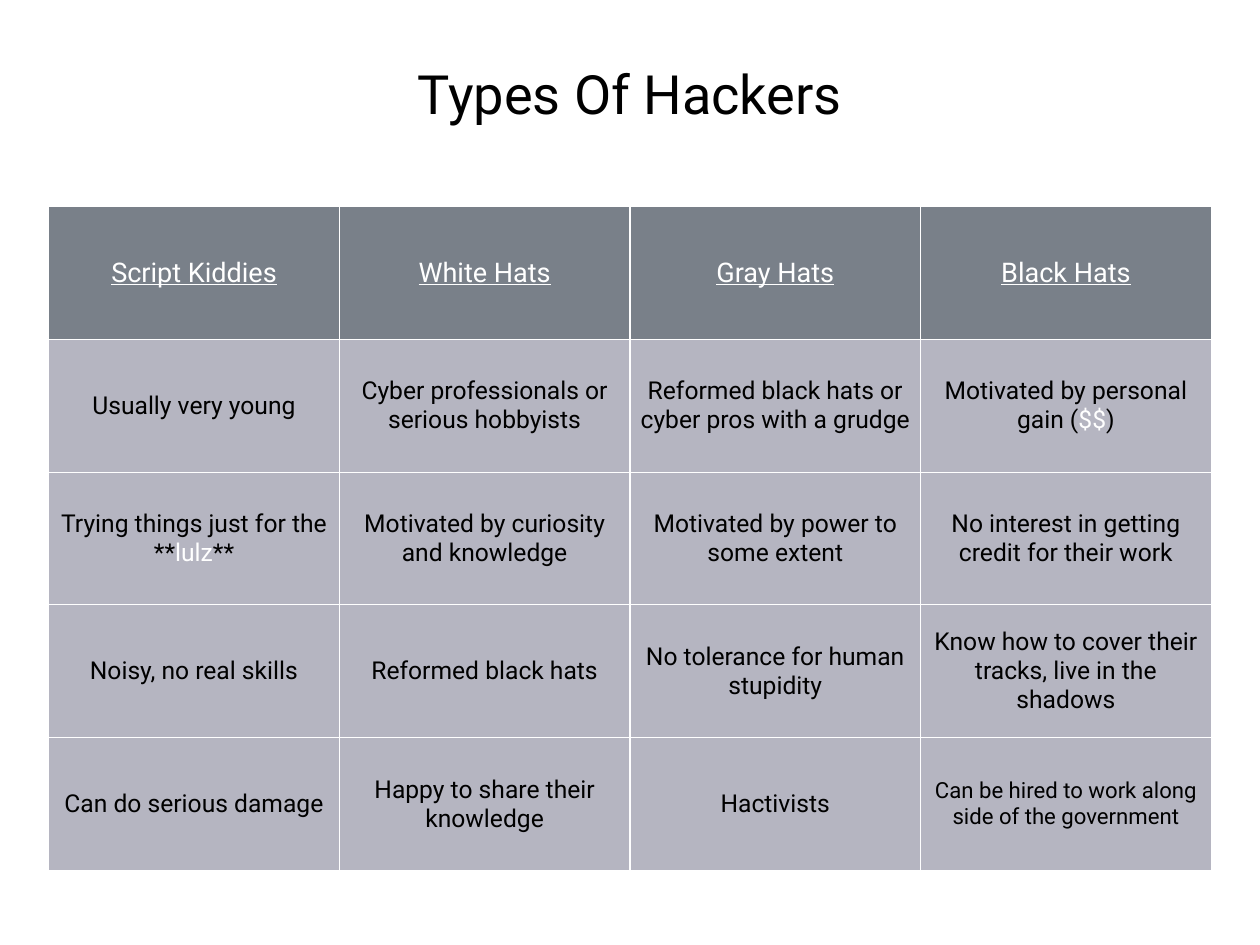
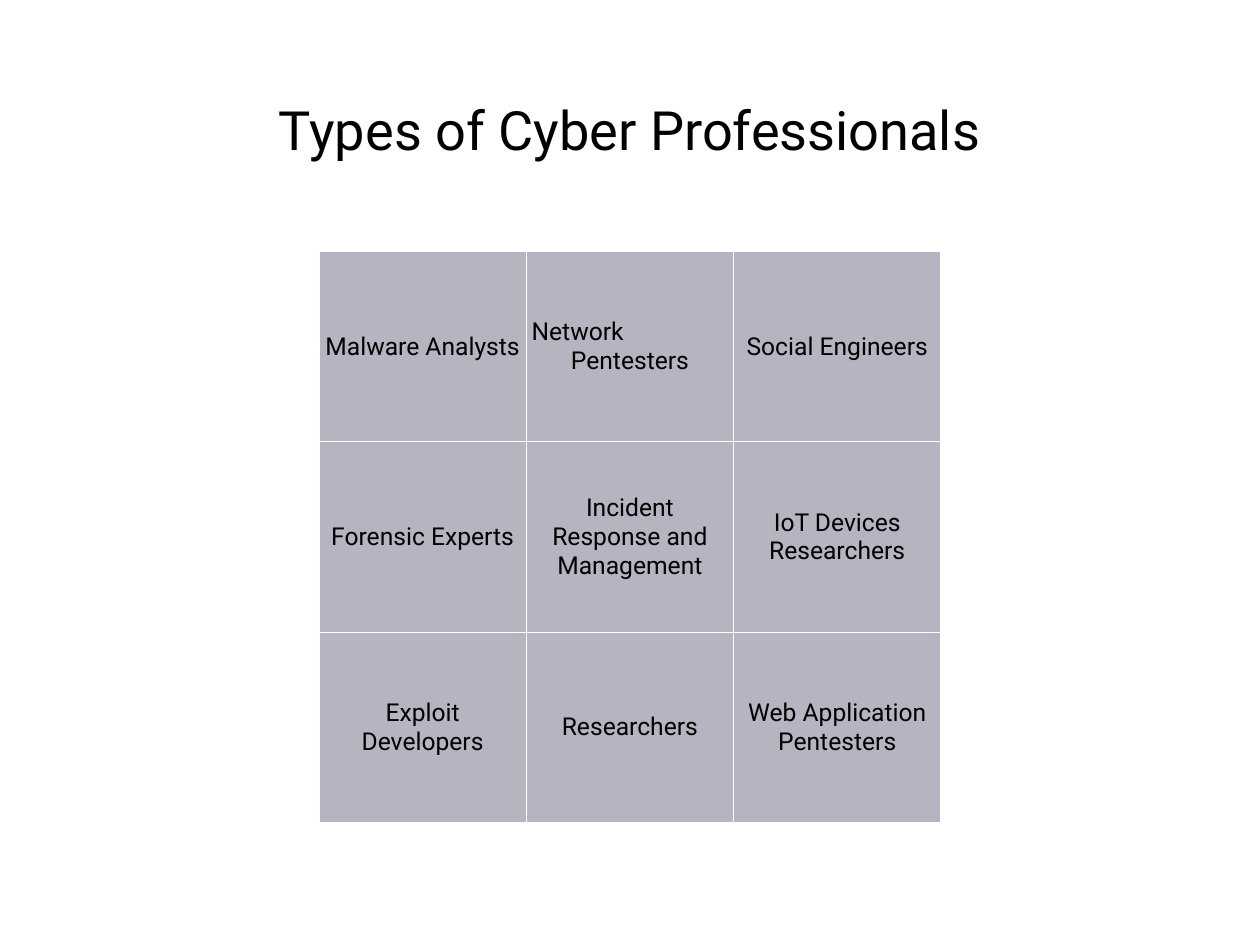
from lxml import etree
from pptx import Presentation
from pptx.dml.color import RGBColor
from pptx.enum.text import MSO_ANCHOR as Anchor, MSO_AUTO_SIZE as AutoSize, PP_ALIGN as Align
from pptx.oxml.ns import qn
from pptx.util import Inches, Pt

# Shared style
FONT = "Roboto"
BLACK = RGBColor(0x00, 0x00, 0x00)
WHITE = RGBColor(0xFF, 0xFF, 0xFF)
HEADER_GRAY = RGBColor(0x79, 0x80, 0x89)
CELL_GRAY = RGBColor(0xB5, 0xB5, 0xC1)
INSET = Inches(0.06)

# Text between bars is white; a line break starts a new paragraph
HACKERS = [
    ["Script Kiddies", "White Hats", "Gray Hats", "Black Hats"],
    ["Usually very young", "Cyber professionals or serious hobbyists",
     "Reformed black hats or cyber pros with a grudge",
     "Motivated by personal gain (|$$|)"],
    ["Trying things just for the **|lulz|**", "Motivated by curiosity and knowledge",
     "Motivated by power to some extent", "No interest in getting credit for their work"],
    ["Noisy, no real skills", "Reformed black hats", "No tolerance for human stupidity",
     "Know how to cover their tracks, live in the shadows"],
    ["Can do serious damage", "Happy to share their knowledge", "Hactivists",
     "Can be hired to work along side of the government"],
]
PROFESSIONALS = [
    ["Malware Analysts", "Network\nPentesters", "Social Engineers"],
    ["Forensic Experts", "Incident Response and Management", "IoT Devices Researchers"],
    ["Exploit Developers", "Researchers", "Web Application Pentesters"],
]

# Title, title top and height, rows, table left and top, cell width and height, header row
PAGES = [
    ("Types Of Hackers", 0.25, 1.59, HACKERS, 0.55, 2.33, 3.28, 1.5, True),
    ("Types of Cyber Professionals", 0.28, 2.36, PROFESSIONALS, 3.6, 2.84, 2.34, 2.15, False),
]


def style_span(span, size, color, underline=False):
    span.font.name = FONT
    span.font.size = Pt(size)
    span.font.color.rgb = color
    span.font.underline = underline


def add_borders(cell):
    properties = cell._tc.get_or_add_tcPr()
    for side in ("a:lnL", "a:lnR", "a:lnT", "a:lnB"):
        line = etree.SubElement(properties, qn(side), w=str(Pt(1)))
        fill = etree.SubElement(line, qn("a:solidFill"))
        etree.SubElement(fill, qn("a:srgbClr"), val=str(WHITE))


deck = Presentation()
deck.slide_width, deck.slide_height = Inches(14.22), Inches(10.67)

for (heading, title_top, title_height, rows, left, top,
     cell_width, cell_height, has_header) in PAGES:
    page = deck.slides.add_slide(deck.slide_layouts[5])

    # Title
    title = page.shapes.title
    title.left, title.top = Inches(1.04), Inches(title_top)
    title.width, title.height = Inches(12.14), Inches(title_height)
    frame = title.text_frame
    frame.text = heading
    frame.word_wrap = True
    frame.auto_size = AutoSize.NONE
    frame.vertical_anchor = Anchor.MIDDLE
    frame.margin_left = frame.margin_right = frame.margin_top = frame.margin_bottom = INSET
    frame.paragraphs[0].alignment = Align.CENTER
    style_span(frame.paragraphs[0].runs[0], 44, BLACK)

    # Table of equal cells
    columns = len(rows[0])
    table = page.shapes.add_table(
        len(rows), columns, Inches(left), Inches(top),
        Inches(cell_width * columns), Inches(cell_height * len(rows))).table
    table.first_row = has_header
    table.horz_banding = False

    for row_index, row in enumerate(rows):
        is_header = has_header and row_index == 0
        for column_index, text in enumerate(row):
            cell = table.cell(row_index, column_index)
            add_borders(cell)
            cell.fill.solid()
            cell.fill.fore_color.rgb = HEADER_GRAY if is_header else CELL_GRAY
            cell.vertical_anchor = Anchor.MIDDLE
            cell.margin_left = cell.margin_right = INSET
            cell.margin_top = cell.margin_bottom = INSET

            size = 22 if is_header else 18 if text.startswith("Can be hired") else 20
            cell.text_frame.text = text.replace("|", "")
            for para, line in zip(cell.text_frame.paragraphs, text.split("\n")):
                para.alignment = Align.CENTER
                para.clear()
                for part_index, part in enumerate(line.split("|")):
                    span = para.add_run()
                    span.text = part
                    is_white = is_header or part_index % 2 == 1
                    style_span(span, size, WHITE if is_white else BLACK, is_header)
            # A broken label starts at the left edge
            if "\n" in text:
                cell.text_frame.paragraphs[0].alignment = Align.LEFT

deck.save("out.pptx")
